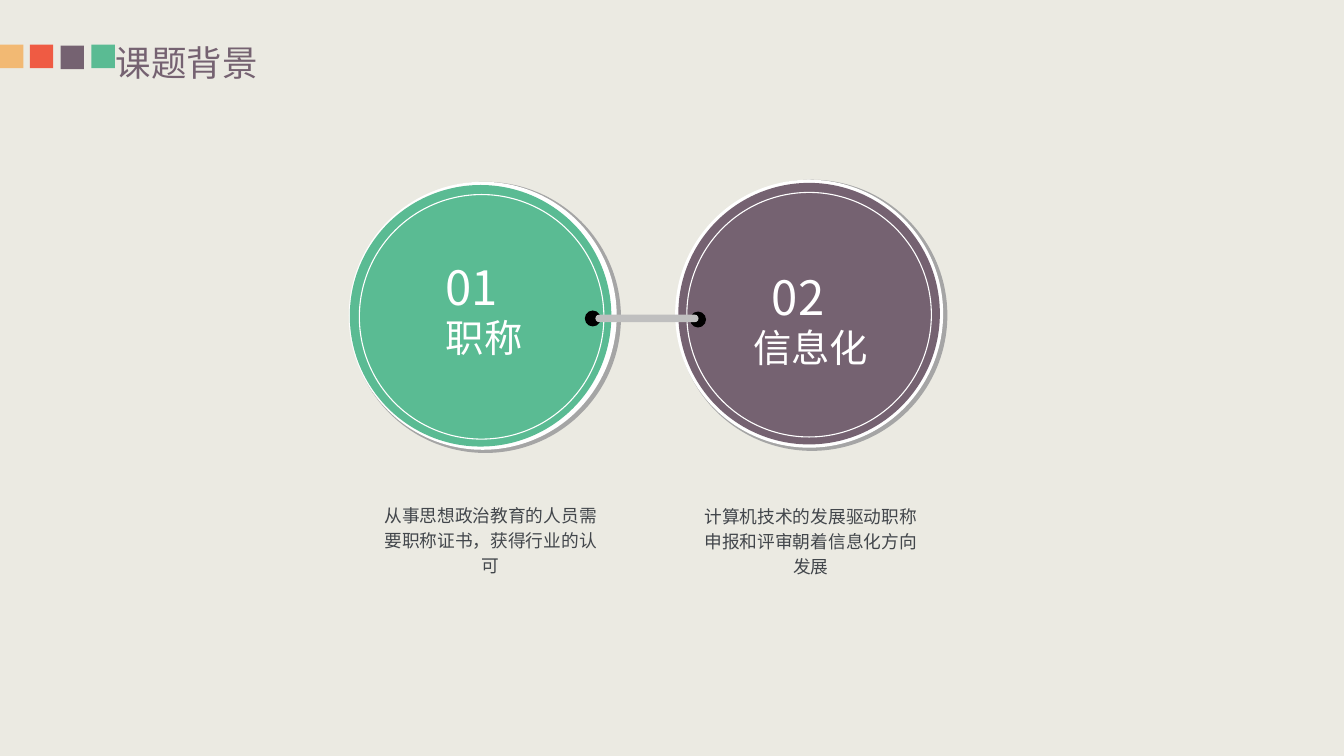
from lxml.etree import SubElement
from pptx import Presentation
from pptx.dml.color import RGBColor
from pptx.enum.shapes import MSO_SHAPE as Shape
from pptx.enum.text import MSO_ANCHOR as Anchor, MSO_AUTO_SIZE as AutoSize, PP_ALIGN as Align
from pptx.oxml.ns import qn
from pptx.util import Inches, Pt

FONT = "Noto Sans CJK SC"
PAPER = RGBColor(0xEB, 0xEA, 0xE2)
SHADOW = RGBColor(0xA5, 0xA5, 0xA5)
BAR = RGBColor(0xBF, 0xBF, 0xBF)
WHITE = RGBColor(0xFF, 0xFF, 0xFF)
BLACK = RGBColor(0x00, 0x00, 0x00)
INK = RGBColor(0x42, 0x46, 0x4B)
AMBER = RGBColor(0xF2, 0xB9, 0x73)
RED = RGBColor(0xEF, 0x5B, 0x43)
PURPLE = RGBColor(0x75, 0x62, 0x71)
GREEN = RGBColor(0x5A, 0xBB, 0x93)

# left, top, face and ring offset, drop of the texts inside, description offset
TOPICS = [
    dict(left=3.29, top=1.71, color=GREEN, face=0, ring=0.09, drop=0.58,
         number="01", caption="职称", about_at=(0.32, 2.93),
         about="从事思想政治教育的人员需要职称证书，获得行业的认可"),
    dict(left=6.36, top=1.69, color=PURPLE, face=0.02, ring=0.1, drop=0.69,
         number="02", caption="信息化", about_at=(0.26, 2.96),
         about="计算机技术的发展驱动职称申报和评审朝着信息化方向发展"),
]


def add_flat(slide, kind, left, top, width, height, color):
    """Add a preset shape with a plain fill, no line and no shadow."""
    flat = slide.shapes.add_shape(kind, *map(Inches, (left, top, width, height)))
    flat.shadow.inherit = False
    flat.fill.solid()
    flat.fill.fore_color.rgb = color
    flat.line.fill.background()
    return flat


def add_text(slide, left, top, width, height, words, size, color, align=Align.LEFT):
    box = slide.shapes.add_textbox(*map(Inches, (left, top, width, height)))
    frame = box.text_frame
    frame_format = dict(word_wrap=True, auto_size=AutoSize.SHAPE_TO_FIT_TEXT,
                        vertical_anchor=Anchor.MIDDLE, margin_left=0,
                        margin_right=0, margin_top=0, margin_bottom=0)
    for key, value in frame_format.items():
        setattr(frame, key, value)
    paragraph = frame.paragraphs[0]
    paragraph.alignment = align
    paragraph.line_spacing = 1.16
    run = paragraph.add_run()
    run.text = words
    run.font.size = Pt(size)
    run.font.color.rgb = color
    run.font.name = FONT
    SubElement(run.font._element, qn("a:ea")).set("typeface", FONT)


def add_header(slide, left, top):
    side = 0.22
    squares = [(0, 0, AMBER), (0.28, 0, RED), (0.57, 0.01, PURPLE), (0.86, 0, GREEN)]
    for dx, dy, color in squares:
        add_flat(slide, Shape.RECTANGLE, left + dx, top + dy, side, side, color)
    add_text(slide, left + 1.09, top - 0.09, 2.2, 0.44, "课题背景", 24, PURPLE)


def add_disc(slide, topic):
    left, top = topic["left"], topic["top"]
    layers = [(0, 0, 2.55, SHADOW), (-0.01, 0, 2.52, WHITE),
              (topic["face"], 0.03, 2.46, topic["color"])]
    for dx, dy, size, color in layers:
        add_flat(slide, Shape.OVAL, left + dx, top + dy, size, size, color)
    ring = add_flat(slide, Shape.OVAL, left + topic["ring"], top + 0.12, 2.3, 2.3, WHITE)
    ring.fill.background()
    ring.line.color.rgb = WHITE
    ring.line.width = Pt(0.75)


def add_link(slide, left, top):
    """Join the two discs with a bar between two pins."""
    for dx, dy in ((0.99, 0.01), (0, 0)):
        add_flat(slide, Shape.OVAL, left + dx, top + dy, 0.15, 0.15, BLACK)
    bar = add_flat(slide, Shape.ROUNDED_RECTANGLE, left + 0.1, top + 0.04, 0.97, 0.07, BAR)
    bar.adjustments[0] = 0.5


def add_topic_texts(slide, topic):
    left, top = topic["left"], topic["top"]
    number_top = top + topic["drop"]
    about_dx, about_dy = topic["about_at"]
    add_text(slide, left + 0.9, number_top, 0.85, 0.73, topic["number"], 32, WHITE)
    add_text(slide, left + 0.14, number_top + 0.53, 2.25, 0.64, topic["caption"], 26,
             WHITE, Align.CENTER)
    add_text(slide, left + about_dx, top + about_dy, 2.01, 0.85, topic["about"], 12,
             INK, Align.CENTER)


def main():
    deck = Presentation()
    deck.slide_width, deck.slide_height = Inches(12.64), Inches(7.11)
    slide = deck.slides.add_slide(deck.slide_layouts[6])
    slide.background.fill.solid()
    slide.background.fill.fore_color.rgb = PAPER
    add_header(slide, 0, 0.42)
    for topic in TOPICS:
        add_disc(slide, topic)
    add_link(slide, 5.5, 2.92)
    for topic in TOPICS:
        add_topic_texts(slide, topic)
    deck.save("out.pptx")


if __name__ == "__main__":
    main()
